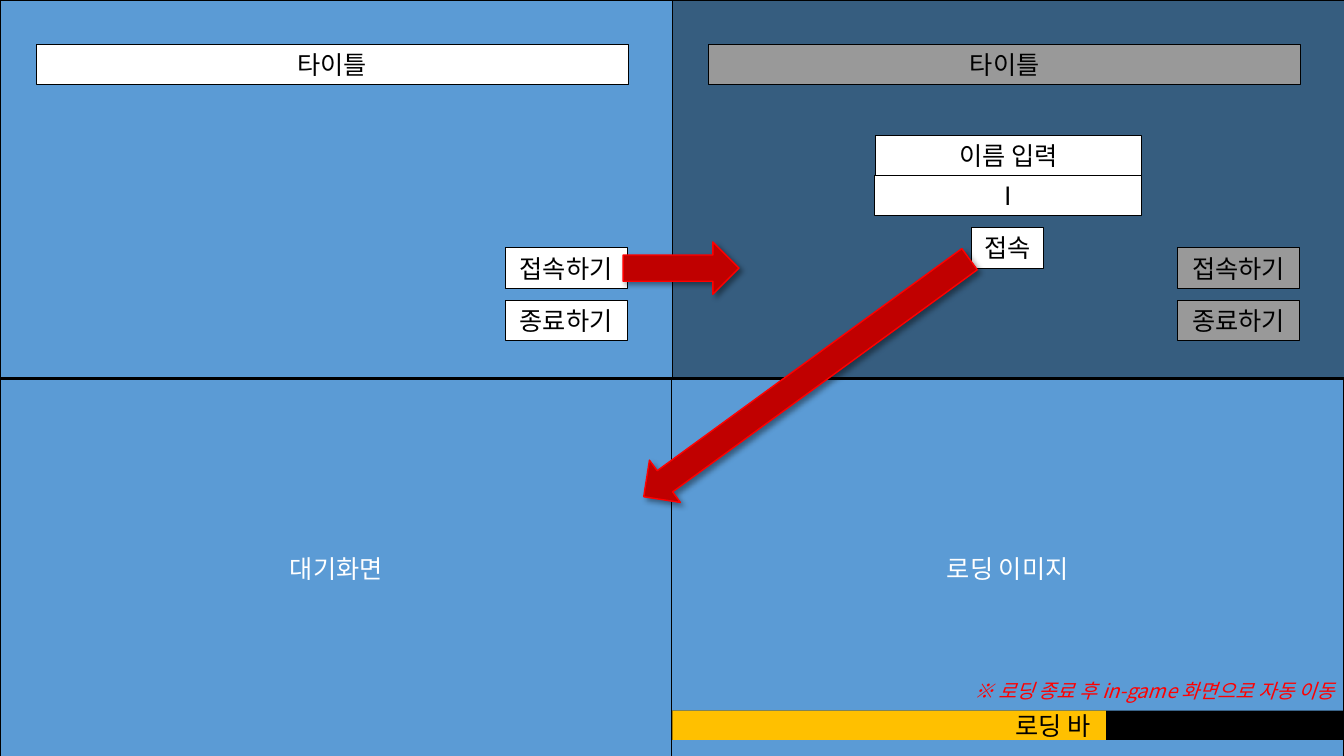
from lxml import etree
from pptx import Presentation
from pptx import util as u
from pptx.dml.color import RGBColor
from pptx.enum import shapes, text
from pptx.oxml import parse_xml
from pptx.oxml.ns import nsdecls, qn

BLUE = RGBColor(0x5B, 0x9B, 0xD5)
WHITE = RGBColor(0xFF, 0xFF, 0xFF)
BLACK = RGBColor(0, 0, 0)
AMBER = RGBColor(0xFF, 0xC0, 0)
DARK_RED = RGBColor(0xC0, 0, 0)
RED = RGBColor(0xFF, 0, 0)
FONT = "Noto Sans CJK KR"
PANEL_W, PANEL_H = 6.67, 3.75
LOWER_TOP = 3.76
RIGHT = text.PP_ALIGN.RIGHT
CENTER = text.PP_ALIGN.CENTER


def write(box, wording, color, size=18, align=CENTER, wrap=True, italic=None):
    frame = box.text_frame
    frame.word_wrap = wrap
    frame.vertical_anchor = text.MSO_ANCHOR.MIDDLE
    para = frame.paragraphs[0]
    para.alignment = align
    span = para.add_run()
    span.text = wording
    font = span.font
    font.name, font.size, font.italic = FONT, u.Pt(size), italic
    font.color.rgb = color
    etree.SubElement(font._element, qn("a:ea"), typeface=FONT)


def add_block(page, left, top, width, height, fill, line=None, weight=1,
              kind=shapes.MSO_SHAPE.RECTANGLE):
    block = page.shapes.add_shape(kind, *map(u.Inches, (left, top, width, height)))
    block.shadow.inherit = False
    block.fill.solid()
    block.fill.fore_color.rgb = fill
    if line is None:
        block.line.fill.background()
    else:
        block.line.color.rgb = line
        block.line.width = u.Pt(weight)
    return block


def add_panel(page, left, top, wording=None):
    panel = add_block(page, left, top, PANEL_W, PANEL_H, BLUE, BLACK)
    if wording:
        write(panel, wording, WHITE)


def add_field(page, left, top, width, wording):
    field = add_block(page, left, top, width, 0.4, WHITE, BLACK, 0.75)
    write(field, wording, BLACK, wrap=False)


def add_title_screen(page, left):
    add_panel(page, left, 0)
    add_field(page, left + 0.36, 0.44, 5.87, "타이틀")
    for top, wording in ((2.46, "접속하기"), (2.98, "종료하기")):
        add_field(page, left + 5.01, top, 1.21, wording)


def add_dimmer(page, left):
    """Darken a whole panel with 40% black."""
    dimmer = add_block(page, left, 0, PANEL_W, PANEL_H, BLACK, BLACK)
    color = dimmer.fill._xPr.find(qn("a:solidFill"))[0]
    etree.SubElement(color, qn("a:alpha"), val="40000")


def add_name_dialog(page):
    add_field(page, 8.68, 1.34, 2.64, "이름 입력")
    add_field(page, 8.67, 1.74, 2.65, "I")
    add_field(page, 9.64, 2.26, 0.71, "접속")


def add_flow_arrow(page, left, top, width, rotation=0):
    arrow = add_block(page, left, top, width, 0.52, DARK_RED, RED,
                      kind=shapes.MSO_SHAPE.RIGHT_ARROW)
    arrow.rotation = rotation
    effects = arrow._element.spPr.find(qn("a:effectLst"))
    effects.append(parse_xml(
        f'<a:outerShdw {nsdecls("a")} blurRad="{u.Pt(4)}" dist="{u.Pt(3)}" '
        'dir="2700000" algn="tl" rotWithShape="0">'
        '<a:srgbClr val="000000"><a:alpha val="40000"/></a:srgbClr></a:outerShdw>'))


def add_loading_screen(page):
    add_panel(page, 6.66, LOWER_TOP, "로딩 이미지")
    add_block(page, 6.66, 7.05, PANEL_W, 0.29, BLACK)
    progress = add_block(page, 6.67, 7.05, 4.3, 0.29, AMBER)
    write(progress, "로딩 바 ", BLACK, align=RIGHT)


def add_loading_note(page):
    note = page.shapes.add_textbox(*map(u.Inches, (9.21, 6.68, 4.13, 0.34)))
    write(note, "※ 로딩 종료 후 in-game 화면으로 자동 이동", RED, 14, RIGHT,
          wrap=False, italic=True)


def main():
    deck = Presentation()
    deck.slide_width, deck.slide_height = u.Inches(13.33), u.Inches(7.5)
    page = deck.slides.add_slide(deck.slide_layouts[6])
    for left in (0, PANEL_W):
        add_title_screen(page, left)
    add_dimmer(page, PANEL_W)
    add_name_dialog(page)
    add_flow_arrow(page, 6.18, 2.4, 1.15)
    add_panel(page, 0, LOWER_TOP, "대기화면")
    add_loading_screen(page)
    add_flow_arrow(page, 6, 3.49, 4, 143.9)
    add_loading_note(page)
    deck.save("out.pptx")


if __name__ == "__main__":
    main()
